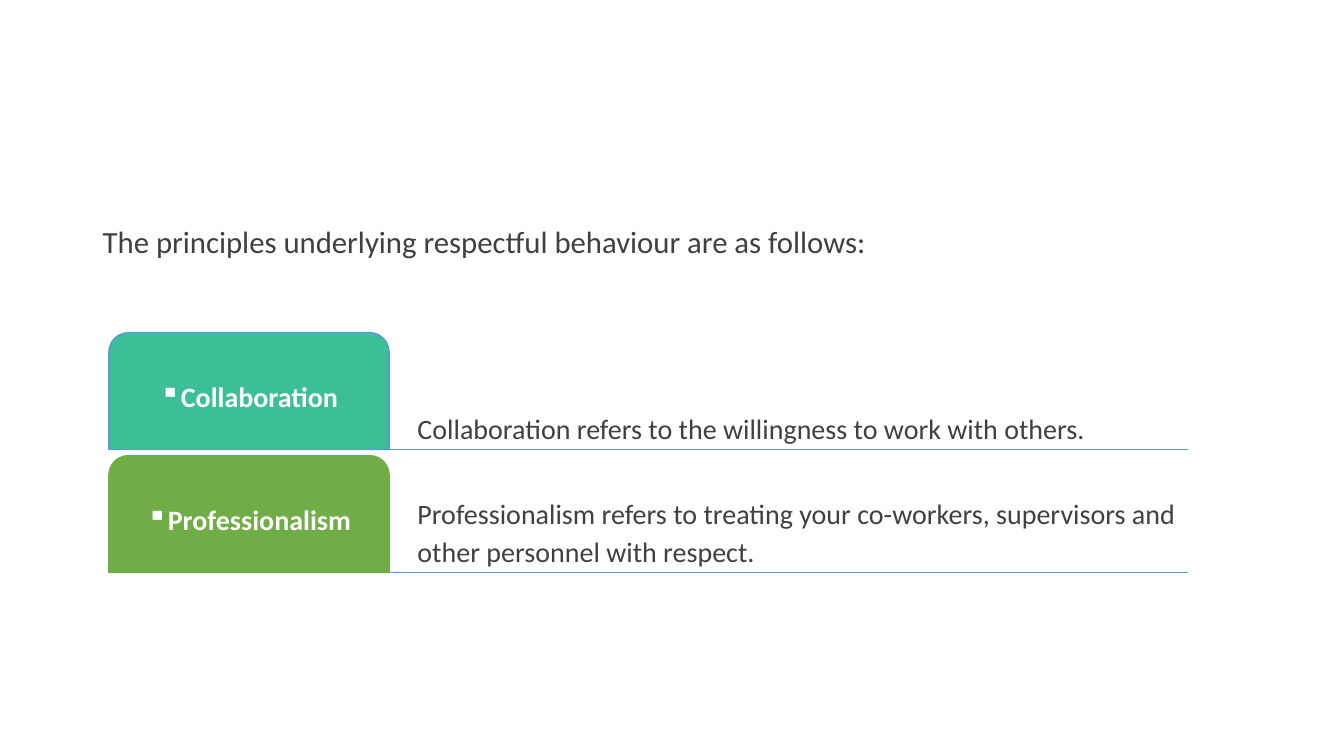
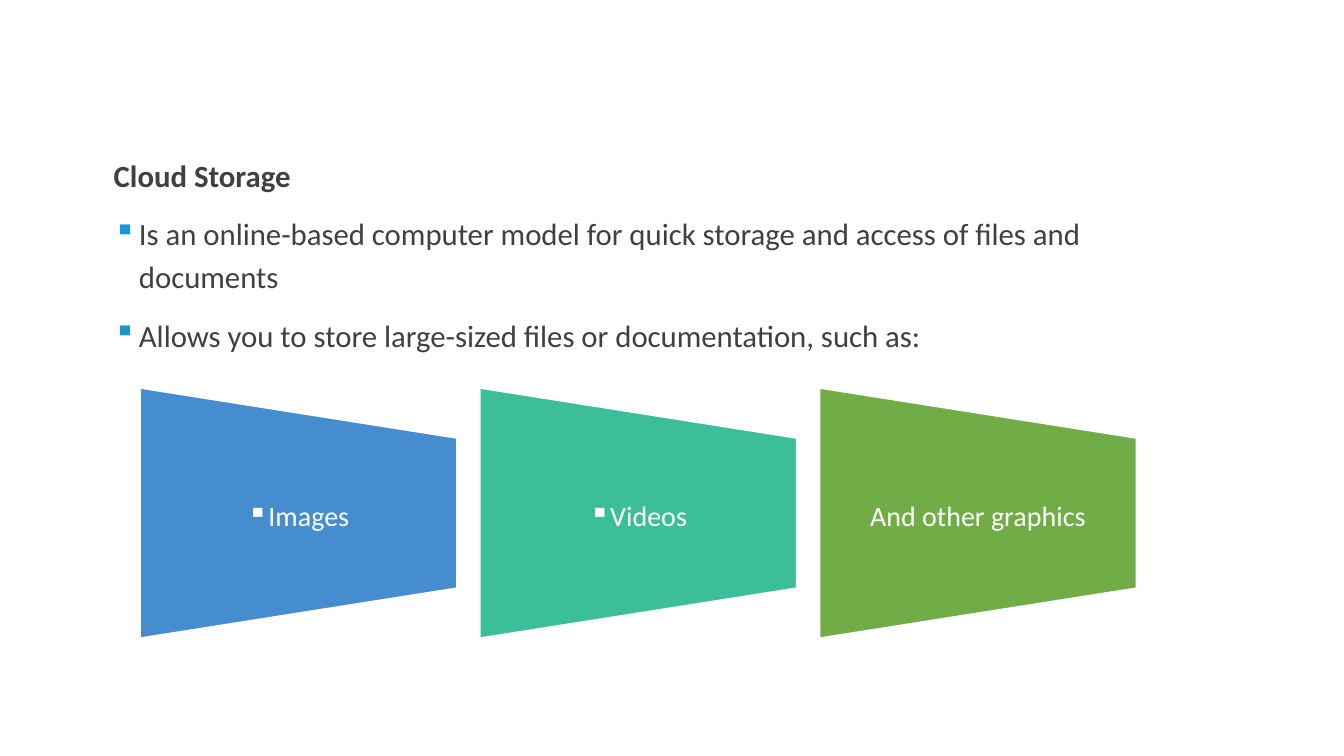
import pptx
import pptx.dml.color
import pptx.enum.shapes
import pptx.enum.text
import pptx.oxml.xmlchemy
import pptx.util
from lxml import etree

Inches, Pt = pptx.util.Inches, pptx.util.Pt
MSO = pptx.enum.shapes.MSO_SHAPE
ANCHOR = pptx.enum.text.MSO_ANCHOR
ALIGN = pptx.enum.text.PP_ALIGN
NS = "{http://schemas.openxmlformats.org/drawingml/2006/main}"

FONT = "Calibri"
BODY_PT, LABEL_PT = 22, 20
TEXT, WHITE = "404040", "FFFFFF"
BLUE, TEAL, GREEN = "458DCF", "3CBE99", "70AD47"
RULE, BULLET = "5B9BD5", "1C96D3"
BODY_W, BODY_H = 11.03, 4.76


def paint(fmt, color):
    """Set a solid colour on a fill, or on the fill of a line or font."""
    fmt.solid()
    fmt.fore_color.rgb = pptx.dml.color.RGBColor.from_string(color)


def write(sp, paras, size, color, anchor, align, insets, spacing=6):
    """Fill a shape with (text, bold, bullet colour, left margin, indent) paragraphs."""
    tf = sp.text_frame
    tf.word_wrap = True
    tf.vertical_anchor = anchor
    tf.margin_left = tf.margin_right = Inches(insets[0])
    tf.margin_top = tf.margin_bottom = Inches(insets[1])
    for i, (text, bold, bullet, left, indent) in enumerate(paras):
        p = tf.add_paragraph() if i else tf.paragraphs[0]
        p.alignment = align
        p.line_spacing = 1.14
        p.space_before = Pt(spacing if i else 0)
        p.space_after = Pt(6)
        pPr = p._p.get_or_add_pPr()
        pPr.set("marL", str(Inches(left)))
        pPr.set("indent", str(Inches(indent)))
        if bullet:
            clr = etree.SubElement(pPr, NS + "buClr")
            etree.SubElement(clr, NS + "srgbClr", val=bullet)
            etree.SubElement(pPr, NS + "buChar", char="▪")
        r = p.add_run()
        r.text = text
        r.font.name, r.font.size, r.font.bold = FONT, Pt(size), bold
        paint(r.font.fill, color)


prs = pptx.Presentation()
prs.slide_width, prs.slide_height = Inches(13.33), Inches(7.5)
blank = prs.slide_layouts[6]

# Body text of both slides
bodies = [
    (0.92, 2.11, [("The principles underlying respectful behaviour are as follows:",
                   False, None, 0, 0)]),
    (1.03, 1.45, [
        ("Cloud Storage", True, None, 0, 0),
        ("Is an online-based computer model for quick storage and access of "
         "files and documents", False, BULLET, 0.25, -0.25),
        ("Allows you to store large-sized files or documentation, such as:",
         False, BULLET, 0.25, -0.25)]),
]
for x, y, paras in bodies:
    s = prs.slides.add_slide(blank)
    sp = s.shapes.add_textbox(Inches(x), Inches(y), Inches(BODY_W), Inches(BODY_H))
    write(sp, paras, BODY_PT, TEXT, ANCHOR.TOP, ALIGN.LEFT, (0.1, 0.05))
principles, storage = prs.slides

# Slide 1: one tab, description and rule per row
rows = [
    ("Collaboration", TEAL, RULE,
     "Collaboration refers to the willingness to work with others."),
    ("Professionalism", GREEN, GREEN,
     "Professionalism refers to treating your co-workers, supervisors and "
     "other personnel with respect."),
]
LEFT, TOP, TAB_W, DESC_W, ROW_H, ROW_GAP = 1.08, 3.3, 2.78, 7.92, 1.16, 0.06
for i, (name, fill, outline, description) in enumerate(rows):
    y = TOP + i * (ROW_H + ROW_GAP)
    bottom = Inches(y + ROW_H)
    line = principles.shapes.add_connector(
        pptx.enum.shapes.MSO_CONNECTOR.STRAIGHT,
        Inches(LEFT), bottom, Inches(LEFT + TAB_W + DESC_W), bottom)
    paint(line.line.fill, RULE)
    line.line.width = Pt(1)
    etree.SubElement(line._element.spPr, NS + "effectLst")

    sp = principles.shapes.add_textbox(
        Inches(LEFT + TAB_W), Inches(y), Inches(DESC_W), Inches(ROW_H))
    write(sp, [(description, False, None, 0.24, 0)], LABEL_PT, TEXT,
          ANCHOR.BOTTOM, ALIGN.LEFT, (0.04, 0.04))

    sp = principles.shapes.add_shape(
        MSO.ROUND_2_SAME_RECTANGLE, Inches(LEFT), Inches(y), Inches(TAB_W), Inches(ROW_H))
    sp.shadow.inherit = False
    paint(sp.fill, fill)
    paint(sp.line.fill, outline)
    sp.line.width = Pt(1)
    write(sp, [(name, True, WHITE, 0, 0)], LABEL_PT, WHITE,
          ANCHOR.MIDDLE, ALIGN.CENTER, (0.04, 0.04))

# Slide 2: three trapezoids, turned on their side, under upright labels
cards = [("Images", BLUE, WHITE), ("Videos", TEAL, WHITE),
         ("And other graphics", GREEN, None)]
CARD_X, CARD_W, CARD_H, CARD_GAP, MIDDLE = 1.39, 3.14, 2.48, 0.23, 5.09
LABEL_H = CARD_H * 0.6
for i, (name, fill, bullet) in enumerate(cards):
    x = CARD_X + i * (CARD_W + CARD_GAP)
    sp = storage.shapes.add_shape(
        MSO.FLOWCHART_MANUAL_OPERATION,
        Inches(x + (CARD_W - CARD_H) / 2), Inches(MIDDLE - CARD_W / 2),
        Inches(CARD_H), Inches(CARD_W))
    sp.rotation = 270
    sp.shadow.inherit = False
    paint(sp.fill, fill)
    paint(sp.line.fill, WHITE)
    sp.line.width = Pt(1)

    sp = storage.shapes.add_textbox(
        Inches(x), Inches(MIDDLE - LABEL_H / 2), Inches(CARD_W), Inches(LABEL_H))
    write(sp, [(name, False, bullet, 0, 0)], LABEL_PT, WHITE,
          ANCHOR.MIDDLE, ALIGN.CENTER, (0.14, 0))

prs.save("out.pptx")
